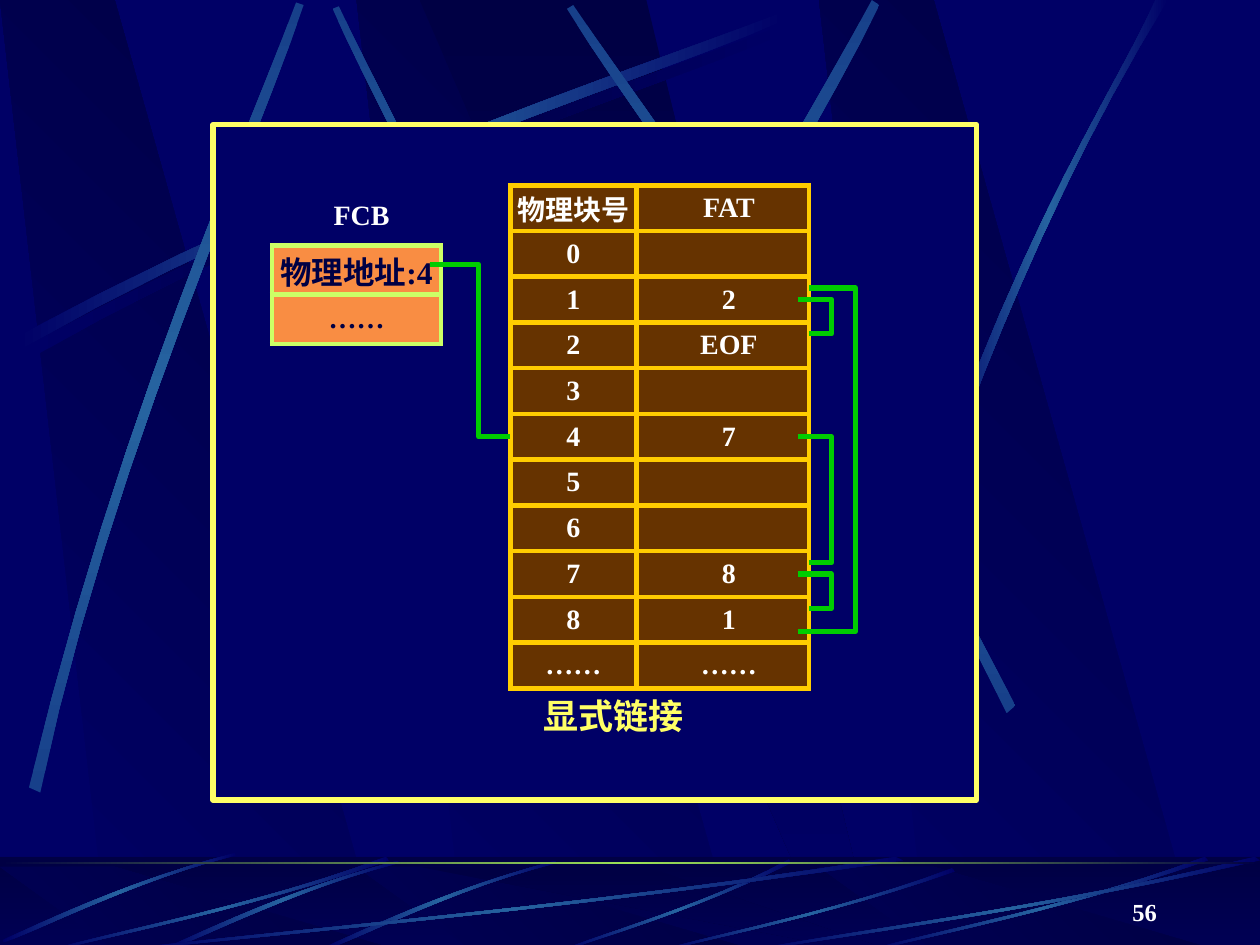
from copy import deepcopy

from lxml.etree import SubElement
from pptx import Presentation
from pptx.dml.color import RGBColor
from pptx.enum.shapes import MSO_SHAPE
from pptx.enum.text import MSO_ANCHOR, PP_ALIGN
from pptx.oxml.ns import qn
from pptx.util import Inches, Pt

WIDTH, HEIGHT = 10, 7.5
FLOOR = 6.8
COLORS = {
    "navy": "000066", "dark": "000044", "beam": "2663A0", "tip": "17408A",
    "glow": "9CE157", "yellow": "FFFF66", "brown": "663300", "gold": "FFCC00",
    "orange": "F98D43", "lime": "CCFF66", "green": "00CC00", "white": "FFFFFF",
}
FADE = ("navy", "beam", "navy")
STEADY = ("tip", "beam", "tip")
FAT_LEFT, FAT_TOP, FAT_ROW = 4.05, 1.47, 0.363
FAT_COLUMNS = (1, 1.37)
FAT_RIGHT = FAT_LEFT + sum(FAT_COLUMNS)
FAT_ROWS = [
    ("物理块号", "FAT"), ("0", ""), ("1", "2"), ("2", "EOF"), ("3", ""), ("4", "7"),
    ("5", ""), ("6", ""), ("7", "8"), ("8", "1"), ("……", "……"),
]
SWEEP = [(1, 0.04), (0.57, 0.57), (0.17, 0.85), (0.01, 1),
         (0, 0.99), (0.17, 0.81), (0.62, 0.51), (0.99, 0)]
SHALLOW = [(0.14, 2.67), (2.78, 1.25), (5.18, 0.51), (6.2, 0.1),
           (6.23, 0.16), (5.22, 0.61), (2.48, 1.43), (0.17, 2.77)]
FLOOR_ARC = [(1.86, 6.77), (0.99, 7), (0.32, 7.33), (0.02, 7.46),
             (0.03, 7.48), (0.34, 7.37), (1.09, 6.98), (1.87, 6.79)]
STEEP_BEAMS = [
    [(4.6, 4.36), (3.91, 2.34), (3.02, 0.77), (2.69, 0.05),
     (2.64, 0.07), (2.95, 0.79), (3.98, 2.58), (4.54, 4.39)],
    [(0.23, 6.25), (0.93, 3.34), (1.97, 1.05), (2.35, 0.02),
     (2.41, 0.04), (2.07, 1.08), (0.86, 3.68), (0.32, 6.29)],
    [(3.85, 6.14), (4.98, 3.2), (6.38, 1.02), (6.92, 0),
     (6.98, 0.04), (6.49, 1.08), (4.86, 3.55), (3.94, 6.21)],
    [(8.06, 5.6), (6.7, 2.93), (5.16, 0.95), (4.55, 0.04),
     (4.5, 0.07), (5.07, 1.01), (6.85, 3.25), (7.99, 5.66)],
]
RIGHT_BEAM = [(7.38, 3.93), (8.14, 1.73), (8.88, 0.66), (9.17, 0),
              (9.27, 0), (8.36, 1.45), (7.69, 3.22), (7.44, 3.97)]


def color(name):
    return RGBColor.from_string(COLORS[name])


def paint(shape, stops, angle=0):
    shape.shadow.inherit = False
    shape.line.fill.background()
    shape.fill.gradient()
    shape.fill.gradient_angle = angle
    stop_list = shape._element.spPr.find(".//" + qn("a:gsLst"))
    while len(stop_list) < len(stops):
        stop_list.append(deepcopy(stop_list[0]))
    for index, stop in enumerate(shape.fill.gradient_stops):
        stop.position = index / (len(stops) - 1)
        stop.color.rgb = color(stops[index])


def add_outline(slide, points, close=True):
    scaled = [(Inches(x), Inches(y)) for x, y in points]
    builder = slide.shapes.build_freeform(*scaled[0])
    builder.add_line_segments(scaled[1:], close=close)
    shape = builder.convert_to_shape()
    shape.shadow.inherit = False
    return shape


def add_rectangle(slide, left, top, width, height):
    shape = slide.shapes.add_shape(
        MSO_SHAPE.RECTANGLE, Inches(left), Inches(top), Inches(width), Inches(height))
    shape.shadow.inherit = False
    return shape


def curve_points(controls, steps=12):
    for step in range(steps + 1):
        t = step / steps
        weights = ((1 - t) ** 3, 3 * t * (1 - t) ** 2, 3 * t * t * (1 - t), t ** 3)
        yield tuple(sum(w * point[axis] for w, point in zip(weights, controls))
                    for axis in (0, 1))


def add_beam(slide, edges, stops=FADE, angle=0, offset=(0, 0), scale=(1, 1)):
    points = [*curve_points(edges[:4]), *curve_points(edges[4:])]
    placed = [(offset[0] + x * scale[0], offset[1] + y * scale[1]) for x, y in points]
    paint(add_outline(slide, placed), stops, angle)


def add_panels(slide, top):
    for left in (2.83, 0, 6.5):
        corners = [(left + 0.86, HEIGHT), (left + 3.02, HEIGHT), (left + 0.91, top), (left, top)]
        paint(add_outline(slide, corners), ("navy", "dark"), 45)
    middle = [(3.33, top), (6.58, HEIGHT), (6.94, HEIGHT), (5.13, top)]
    paint(add_outline(slide, middle), ("dark", "navy"), 270)


def add_backdrop(slide):
    add_panels(slide, 0)
    add_beam(slide, SHALLOW, ("navy", "dark", "navy"), offset=(0.06, 0.08))
    add_beam(slide, SHALLOW)
    for edges in STEEP_BEAMS:
        add_beam(slide, edges, STEADY, 90)
    add_beam(slide, RIGHT_BEAM)


def add_floor(slide):
    depth = HEIGHT - FLOOR
    paint(add_rectangle(slide, 0, FLOOR, WIDTH, depth), ("dark", "navy"), 270)
    add_panels(slide, 6.88)
    veil = add_rectangle(slide, 0, FLOOR, WIDTH, depth)
    veil.line.fill.background()
    veil.fill.solid()
    veil.fill.fore_color.rgb = color("dark")
    SubElement(veil._element.spPr.find(".//" + qn("a:srgbClr")), qn("a:alpha"), val="50000")
    for left, top in ((2.55, 0.06), (1.3, 0.06), (0, 0)):
        add_beam(slide, FLOOR_ARC, offset=(left, top))
    for left, top, width in ((4.48, 6.82, 1.8), (1, FLOOR, 6.17), (0.42, FLOOR, 2.67),
                             (5.27, 6.89, 2.31), (6.92, FLOOR, 2.67), (6, FLOOR, 4)):
        add_beam(slide, SWEEP, offset=(left, top), scale=(width, 7.54 - top))
    paint(add_rectangle(slide, 0, 6.84, WIDTH, 0.02), ("dark", "glow", "dark"))


def write(frame, text, size, ink, align=PP_ALIGN.CENTER):
    paragraph = frame.paragraphs[0]
    paragraph.text = text
    paragraph.alignment = align
    for name, value in {"size": Pt(size), "bold": True, "name": "Times New Roman"}.items():
        setattr(paragraph.font, name, value)
    paragraph.font.color.rgb = color(ink)


def add_label(slide, text, box, size, ink, **options):
    frame = slide.shapes.add_textbox(*map(Inches, box)).text_frame
    frame.word_wrap = True
    frame.vertical_anchor = options.pop("anchor", MSO_ANCHOR.TOP)
    write(frame, text, size, ink, **options)


def add_borders(cell, ink):
    properties = cell._tc.get_or_add_tcPr()
    for index, side in enumerate(("lnL", "lnR", "lnT", "lnB")):
        border = SubElement(properties, qn("a:" + side), w=str(Pt(3)))
        fill = SubElement(border, qn("a:solidFill"))
        SubElement(fill, qn("a:srgbClr"), val=COLORS[ink])
        properties.insert(index, border)


def add_grid(slide, left, top, columns, row_height, rows, fill, border, ink, sizes):
    table = slide.shapes.add_table(
        len(rows), len(columns), Inches(left), Inches(top),
        Inches(sum(columns)), Inches(row_height * len(rows))).table
    table.first_row = table.horz_banding = False
    for column, width in zip(table.columns, columns):
        column.width = Inches(width)
    cell_format = {"margin_left": 0, "margin_right": 0, "margin_top": 0,
                   "margin_bottom": 0, "vertical_anchor": MSO_ANCHOR.MIDDLE}
    for row_index, (row, size) in enumerate(zip(rows, sizes)):
        table.rows[row_index].height = Inches(row_height)
        for column_index, text in enumerate(row):
            cell = table.cell(row_index, column_index)
            for name, value in cell_format.items():
                setattr(cell, name, value)
            cell.margin_left = Inches(0.1 * column_index)
            cell.fill.solid()
            cell.fill.fore_color.rgb = color(fill)
            add_borders(cell, border)
            write(cell.text_frame, text, size, ink)


def add_link(slide, points):
    link = add_outline(slide, points, close=False)
    link.fill.background()
    link.line.color.rgb = color("green")
    link.line.width = Pt(3)


def fat_y(block, share):
    return FAT_TOP + FAT_ROW * (block + 1 + share)


def add_links(slide):
    entry = fat_y(4, 0.5)
    add_link(slide, [(3.41, 2.1), (3.8, 2.1), (3.8, entry), (FAT_LEFT, entry)])
    for source, target, share, reach in ((4, 7, 0.5, 0.18), (7, 8, 0.5, 0.18),
                                         (8, 1, 0.75, 0.37), (1, 2, 0.5, 0.18)):
        start, end = fat_y(source, share), fat_y(target, 0.25)
        bend = FAT_RIGHT + reach
        add_link(slide, [(FAT_RIGHT - 0.09, start), (bend, start), (bend, end), (FAT_RIGHT, end)])


def main():
    presentation = Presentation()
    presentation.slide_width, presentation.slide_height = Inches(WIDTH), Inches(HEIGHT)
    slide = presentation.slides.add_slide(presentation.slide_layouts[6])
    slide.background.fill.solid()
    slide.background.fill.fore_color.rgb = color("navy")
    add_backdrop(slide)
    add_floor(slide)
    frame = add_rectangle(slide, 1.69, 0.99, 6.06, 5.36)
    frame.fill.solid()
    frame.fill.fore_color.rgb = color("navy")
    frame.line.color.rgb = color("yellow")
    frame.line.width = Pt(3)
    add_grid(slide, FAT_LEFT, FAT_TOP, FAT_COLUMNS, FAT_ROW, FAT_ROWS,
             "brown", "gold", "white", [16] * len(FAT_ROWS))
    add_label(slide, "FCB", (2.5, 1.52, 0.74, 0.37), 16, "white")
    add_grid(slide, 2.16, 1.95, (1.34,), 0.39, [("物理地址:4",), ("……",)],
             "orange", "lime", "dark", (18, 16))
    add_label(slide, "显式链接", (FAT_LEFT, 5.46, 1.64, 0.44), 20, "yellow")
    add_links(slide)
    add_label(slide, "56", (7.2, 6.9, 2.08, 0.5), 14, "white",
              align=PP_ALIGN.RIGHT, anchor=MSO_ANCHOR.BOTTOM)
    presentation.save("out.pptx")


if __name__ == "__main__":
    main()
